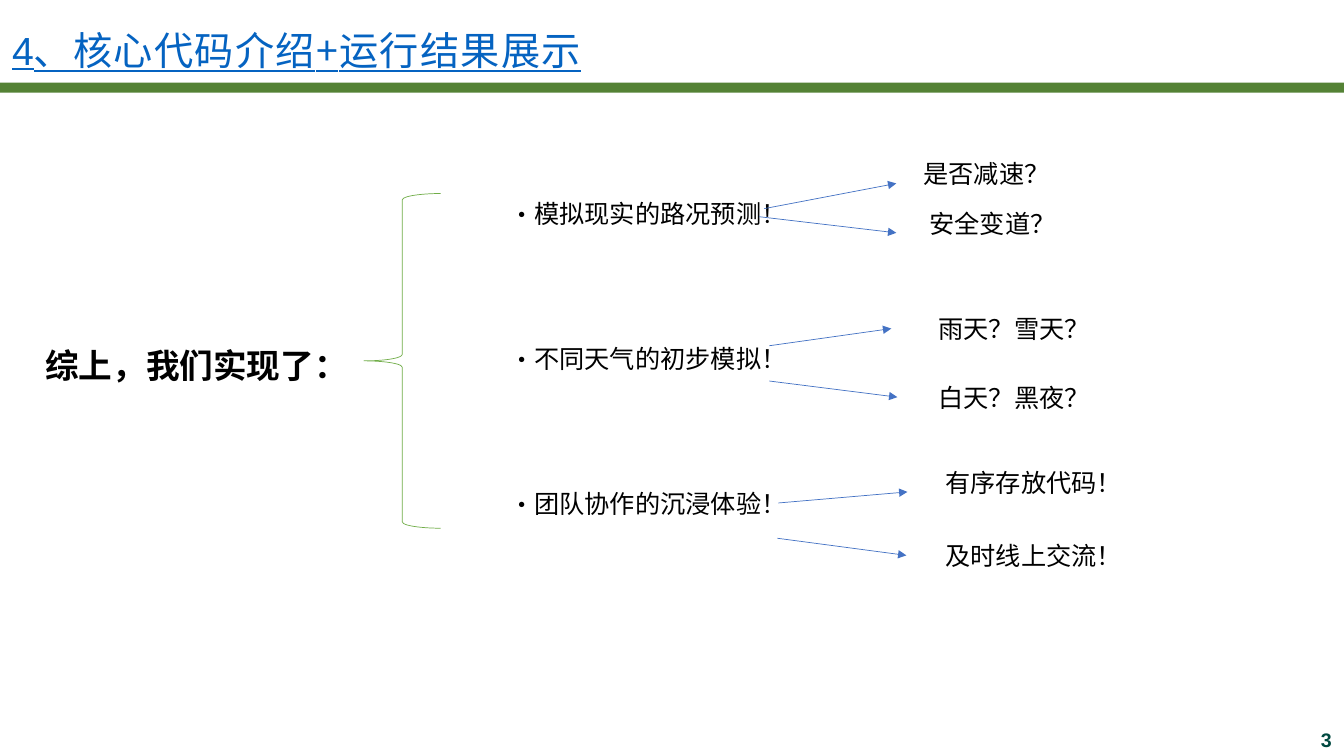
from lxml.etree import SubElement as Sub
from pptx import Presentation
from pptx.dml.color import RGBColor
from pptx.enum.shapes import MSO_CONNECTOR as Link, MSO_SHAPE as Kind
from pptx.enum.text import MSO_ANCHOR as Anchor, MSO_AUTO_SIZE as Fit, PP_ALIGN as Align
from pptx.oxml.ns import qn
from pptx.util import Emu, Pt

CJK = "Noto Sans CJK SC"
rgb = RGBColor.from_string


def px(*nums):
    """Lengths at 100 px to the inch."""
    return [Emu(n * 9144) for n in nums]


def write(para, text, size=18, color="000000", bold=False, line=False, gap=0, face="Arial"):
    run = para.add_run()
    run.text = text
    font = run.font
    font.size, font.bold, font.underline, font.name = Pt(size), bold, line, face
    font.color.rgb = rgb(color)
    props = run._r.get_or_add_rPr()
    props.set("spc", str(round(gap * 100)))
    Sub(props, qn("a:ea"), typeface=CJK)


deck = Presentation()
deck.slide_width, deck.slide_height = px(1333, 750)
slide = deck.slides.add_slide(deck.slide_layouts[1])
shapes = slide.shapes
title, body = slide.placeholders

# Placeholders
for holder, place, pad in [(title, (12, 24, 805, 51), 0), (body, (495, 192, 300, 343), 10)]:
    holder.left, holder.top, holder.width, holder.height = px(*place)
    frame = holder.text_frame
    frame.auto_size, frame.vertical_anchor, frame.word_wrap = Fit.NONE, Anchor.TOP, True
    frame.margin_left, frame.margin_right = px(pad, pad)
    frame.margin_top, frame.margin_bottom = px(pad // 2, pad // 2)

# Title and bar
head = title.text_frame.paragraphs[0]
head.alignment, head.line_spacing = Align.LEFT, Pt(34.9)
blue = dict(size=28, color="0563C1", line=True)
write(head, "4、", gap=-0.1, **blue)
write(head, "核心代码介绍+运行结果展示", gap=1, face=CJK, **blue)

bar = shapes.add_shape(Kind.RECTANGLE, *px(0, 82, 1333, 10))
bar.shadow.inherit = False
bar.fill.solid()
bar.fill.fore_color.rgb = rgb("548235")
bar.line.fill.background()

# Three achievements
goals = ["模拟现实的路况预测！", "不同天气的初步模拟！", "团队协作的沉浸体验！"]
hang = px(25)[0]
for i, goal in enumerate(goals):
    para = body.text_frame.paragraphs[0] if i == 0 else body.text_frame.add_paragraph()
    props = para._p.get_or_add_pPr()
    props.set("marL", str(hang))
    props.set("indent", str(-hang))
    Sub(props, qn("a:buFont"), typeface=CJK)
    Sub(props, qn("a:buChar"), char="•")
    para.space_before = Pt(82 if i else 0)
    write(para, goal)

# Heading and details, as wide as their characters
bold = dict(size=24, bold=True)
notes = [
    ("综上，我们实现了：", 35, 337, bold),
    ("是否减速？", 906, 152, {}),
    ("安全变道？", 912, 202, {}),
    ("雨天？雪天？", 921, 306, {}),
    ("白天？黑夜？", 921, 374, {}),
    ("有序存放代码！", 928, 459, {}),
    ("及时线上交流！", 928, 531, {}),
]
for text, x, y, look in notes:
    wide = len(text) * (34 if look else 25) + 20
    box = shapes.add_textbox(*px(x, y, wide, 50 if look else 40))
    box.text_frame.word_wrap = True
    write(box.text_frame.paragraphs[0], text, **look)

# Page number
page = shapes.add_textbox(*px(1310, 726, 15, 22)).text_frame
page.margin_left = page.margin_right = page.margin_top = page.margin_bottom = 0
page.paragraphs[0].line_spacing = 0.82
write(page.paragraphs[0], "3", size=14, color="004940", bold=True, gap=0.8)

# Arrows
arrows = [
    (758, 207, 889, 182), (753, 215, 889, 231),
    (763, 343, 884, 326), (763, 378, 890, 394),
    (772, 499, 900, 488), (771, 534, 899, 551),
]
for ends in arrows:
    arrow = shapes.add_connector(Link.STRAIGHT, *px(*ends))
    arrow.line.color.rgb = rgb("4472C4")
    arrow.line.width = Pt(0.5)
    Sub(arrow.line._get_or_add_ln(), qn("a:tailEnd"), type="triangle")
    Sub(arrow._element.spPr, qn("a:effectLst"))

# Brace
brace = shapes.add_shape(Kind.LEFT_BRACE, *px(361, 192, 76, 332))
brace.shadow.inherit = False
brace.fill.background()
brace.line.color.rgb = rgb("70AD47")
brace.line.width = Pt(0.5)

deck.save("out.pptx")
